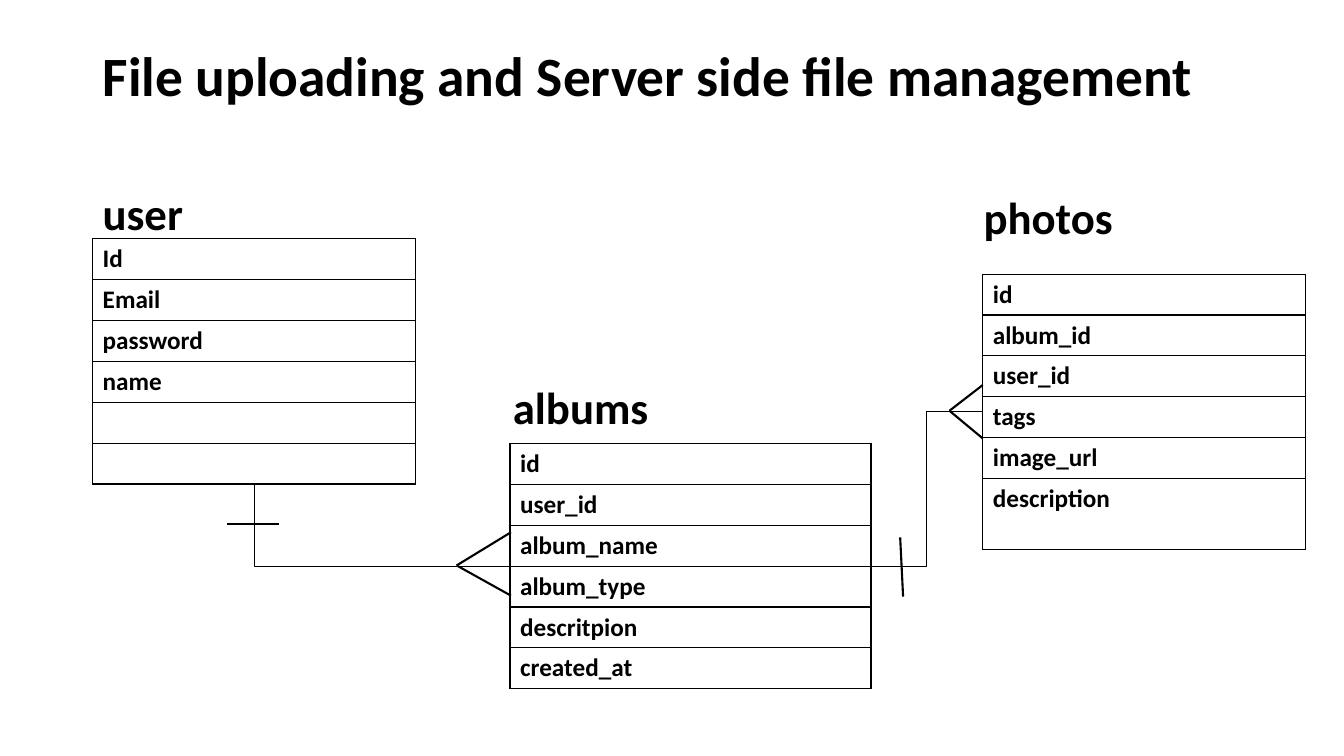
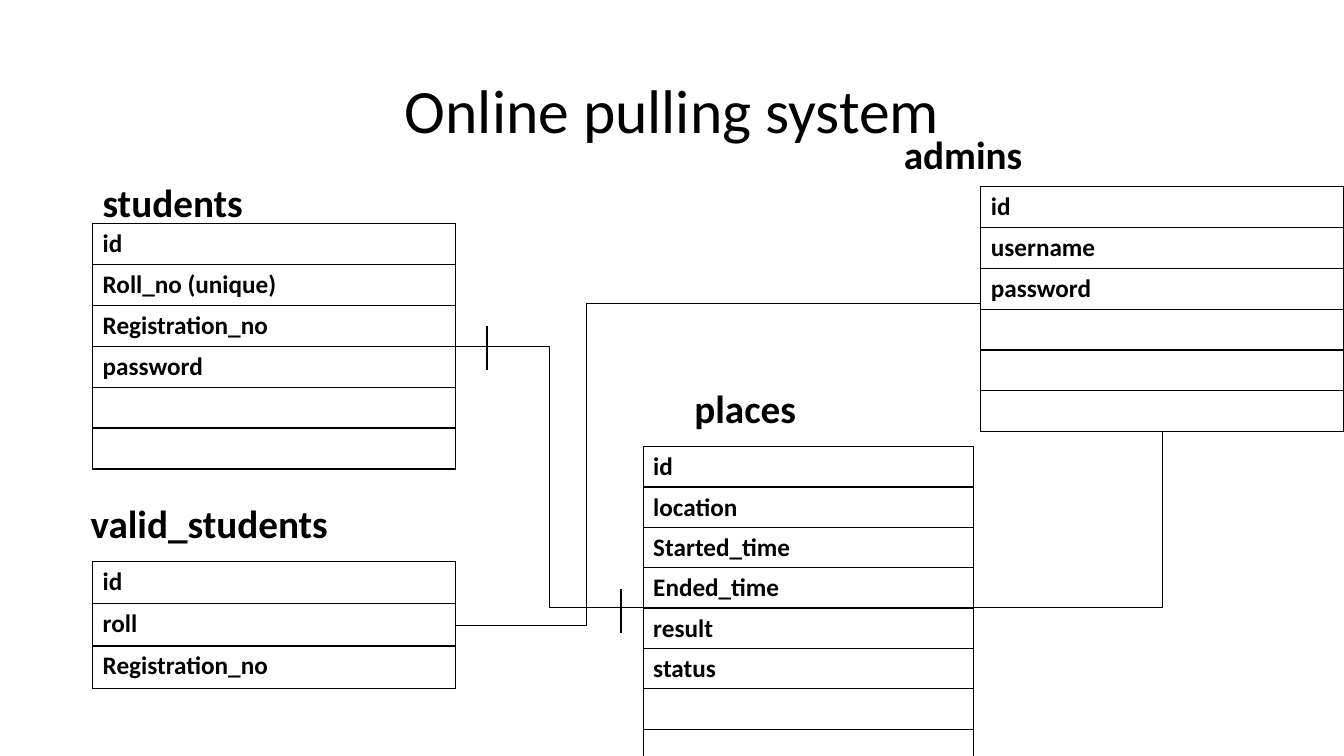
from dataclasses import dataclass

from lxml.etree import SubElement
from pptx import Presentation
from pptx.dml.color import RGBColor
from pptx.enum.shapes import MSO_CONNECTOR
from pptx.enum.text import MSO_ANCHOR, MSO_AUTO_SIZE, PP_ALIGN
from pptx.oxml import parse_xml
from pptx.oxml.ns import nsdecls, qn
from pptx.shapes.connector import Connector
from pptx.slide import Slide
from pptx.table import _Cell
from pptx.text.text import _Paragraph
from pptx.util import Pt

# Shared style, lengths in points
FONT = "Calibri"
INK = "000000"
LEFT = 66.2
ROW = 29.2
TITLE_TOP, TITLE_WIDTH = 28.8, 828
FIELD_SIZE = 18
BORDER, LINK_WIDTH, MARK_WIDTH = 1, 0.5, 1.5

Point = tuple[float, float]


@dataclass(frozen=True)
class Title:
    text: str
    height: float
    size: float
    bold: bool
    align: PP_ALIGN


@dataclass(frozen=True)
class Caption:
    text: str
    left: float
    top: float
    width: float


@dataclass(frozen=True)
class Entity:
    caption: Caption
    left: float
    top: float
    width: float
    fields: tuple[str, ...]
    row: float = ROW
    last_row: float | None = None


@dataclass(frozen=True)
class Link:
    """Elbow that leaves start horizontally; bend None means a single corner."""
    start: Point
    end: Point
    bend: float | None = None


@dataclass(frozen=True)
class Mark:
    start: Point
    end: Point


@dataclass(frozen=True)
class Diagram:
    title: Title
    caption_size: float
    entities: tuple[Entity, ...]
    links: tuple[Link, ...]
    marks: tuple[Mark, ...]


def crow_foot(tip: Point, edge: float, upper: float, lower: float) -> tuple[Mark, ...]:
    return tuple(Mark(tip, (edge, y)) for y in (upper, lower))


def color(value: str) -> RGBColor:
    return RGBColor.from_string(value)


def style(paragraph: _Paragraph, size: float, bold: bool) -> None:
    font = paragraph.font
    font.name, font.size, font.bold = FONT, Pt(size), bold
    font.color.rgb = color(INK)


# Drawing functions
def draw_title(slide: Slide, title: Title) -> None:
    holder = slide.shapes.title
    holder.left, holder.top = Pt(LEFT), Pt(TITLE_TOP)
    holder.width, holder.height = Pt(TITLE_WIDTH), Pt(title.height)
    frame = holder.text_frame
    frame.text = title.text
    frame.vertical_anchor = MSO_ANCHOR.MIDDLE
    frame.auto_size = MSO_AUTO_SIZE.NONE
    paragraph = frame.paragraphs[0]
    paragraph.alignment = title.align
    paragraph.line_spacing = 0.9
    style(paragraph, title.size, title.bold)


def draw_caption(slide: Slide, caption: Caption, size: float) -> None:
    box = slide.shapes.add_textbox(
        Pt(caption.left), Pt(caption.top), Pt(caption.width), Pt(size * 1.22 + 7.2))
    frame = box.text_frame
    frame.word_wrap = True
    frame.auto_size = MSO_AUTO_SIZE.SHAPE_TO_FIT_TEXT
    frame.text = caption.text
    style(frame.paragraphs[0], size, True)


def add_borders(cell: _Cell) -> None:
    properties = cell._tc.get_or_add_tcPr()
    for position, side in enumerate(("lnL", "lnR", "lnT", "lnB")):
        properties.insert(position, parse_xml(
            f'<a:{side} {nsdecls("a")} w="{Pt(BORDER)}"><a:solidFill>'
            f'<a:srgbClr val="{INK}"/></a:solidFill></a:{side}>'))


def draw_entity(slide: Slide, entity: Entity, caption_size: float) -> None:
    count = len(entity.fields)
    heights = [entity.row] * (count - 1) + [entity.last_row or entity.row]
    table = slide.shapes.add_table(
        count, 1, Pt(entity.left), Pt(entity.top),
        Pt(entity.width), Pt(sum(heights))).table
    table.first_row = table.horz_banding = False
    for index, (field, height) in enumerate(zip(entity.fields, heights)):
        table.rows[index].height = Pt(height)
        cell = table.cell(index, 0)
        cell.text = field
        cell.fill.background()
        add_borders(cell)
        style(cell.text_frame.paragraphs[0], FIELD_SIZE, True)
    draw_caption(slide, entity.caption, caption_size)


def draw_line(slide: Slide, kind: MSO_CONNECTOR, start: Point, end: Point,
              width: float) -> Connector:
    line = slide.shapes.add_connector(kind, *(Pt(v) for v in (*start, *end)))
    line.line.color.rgb = color(INK)
    line.line.width = Pt(width)
    SubElement(line._element.spPr, qn("a:effectLst"))
    return line


def draw_link(slide: Slide, link: Link) -> None:
    line = draw_line(slide, MSO_CONNECTOR.ELBOW, link.start, link.end, LINK_WIDTH)
    geometry = line._element.spPr.find(qn("a:prstGeom"))
    if link.bend is None:
        geometry.set("prst", "bentConnector2")
        return
    guides = geometry.find(qn("a:avLst"))
    if guides is None:
        guides = SubElement(geometry, qn("a:avLst"))
    SubElement(guides, qn("a:gd"), name="adj1", fmla=f"val {round(link.bend * 100000)}")


def draw_diagram(slide: Slide, diagram: Diagram) -> None:
    draw_title(slide, diagram.title)
    for entity in diagram.entities:
        draw_entity(slide, entity, diagram.caption_size)
    for link in diagram.links:
        draw_link(slide, link)
    for mark in diagram.marks:
        draw_line(slide, MSO_CONNECTOR.STRAIGHT, mark.start, mark.end, MARK_WIDTH)


# File management schema
file_management = Diagram(
    Title("File uploading and Server side file management", 54, 39.6, True, PP_ALIGN.LEFT),
    32,
    (
        Entity(Caption("user", LEFT, 128.9, 206), LEFT, 170.6, 230.4,
               ("Id", "Email", "password", "name", "", "")),
        Entity(Caption("albums", 359.3, 267.8, 188), 364.3, 316.8, 257.8,
               ("id", "user_id", "album_name", "album_type", "descritpion ", "created_at")),
        Entity(Caption("photos", 695.5, 131.8, 175), 702, 195.8, 230.4,
               ("id", "album_id", "user_id", "tags", "image_url", "description"),
               last_row=50.6),
    ),
    (
        Link((364.3, 404.6), (181.4, 345.6)),
        Link((702, 293.8), (622.1, 404.6), 0.5),
    ),
    (
        Mark((162, 374.4), (199.4, 374.4)),
        *crow_foot((326.2, 403.9), 365, 380.2, 425.5),
        Mark((645.1, 426.2), (643, 383.8)),
        *crow_foot((678.2, 293.4), 702, 275, 313.2),
    ),
)

# Online system schema
online_system = Diagram(
    Title("Online pulling system", 104.4, 44, False, PP_ALIGN.CENTER),
    28,
    (
        Entity(Caption("students", LEFT, 123.8, 177), LEFT, 159.8, 259.2,
               ("id", "Roll_no (unique)", "Registration_no", "password", "", "")),
        Entity(Caption("admins", 638.6, 89.3, 177), 700.6, 133.2, 259.2,
               ("id", "username", "password", "", "", "")),
        Entity(Caption("valid_students", 57.6, 352.8, 237), LEFT, 401, 259.2,
               ("id", "roll", "Registration_no"), row=30.2),
        Entity(Caption("places", 488.9, 270.7, 177), 459.4, 319, 236.2,
               ("id", "location", "Started_time", "Ended_time", "result", "status", "", ""),
               row=28.8),
    ),
    (
        Link((459.4, 434.2), (325.4, 247.7), 0.5),
        Link((700.6, 216.7), (325.4, 446.4), 0.75),
        Link((695.5, 434.2), (830.2, 308.2)),
    ),
    (
        Mark((347.8, 264.2), (347.8, 232.6)),
        Mark((443.5, 452.2), (443.5, 420.5)),
    ),
)

# Build and save
presentation = Presentation()
presentation.slide_width, presentation.slide_height = Pt(960), Pt(540)
title_only = presentation.slide_layouts[5]
for schema in (file_management, online_system):
    draw_diagram(presentation.slides.add_slide(title_only), schema)
presentation.save("out.pptx")
